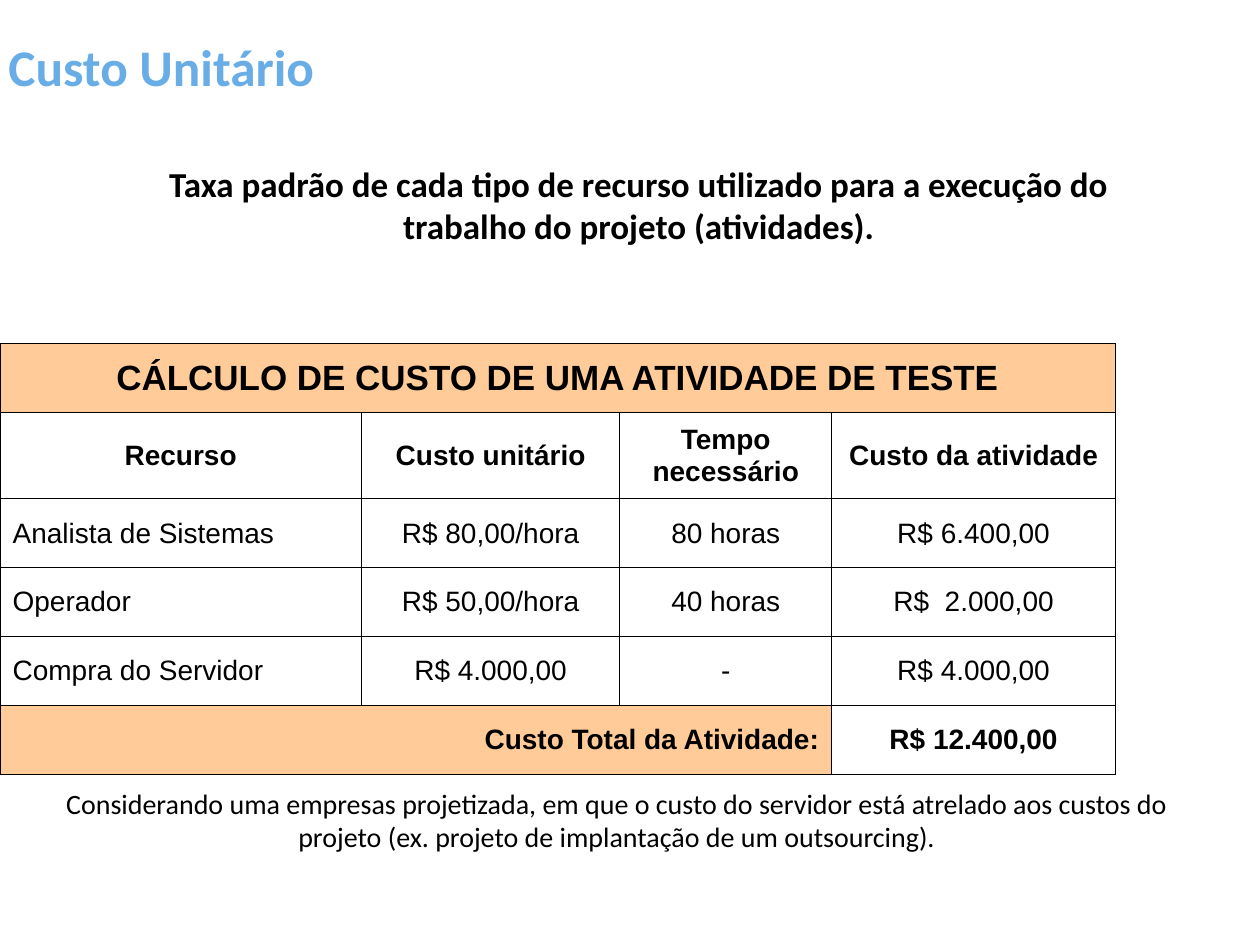
from lxml import etree
from pptx import Presentation
from pptx.dml.color import RGBColor
from pptx.enum import text as t
from pptx.oxml import ns
from pptx.util import Inches, Pt

BLACK = RGBColor(0, 0, 0)
BLUE = RGBColor(0x69, 0xAD, 0xE7)
PEACH = RGBColor(0xFF, 0xCC, 0x99)
LEFT, MID, RIGHT, JUST = (t.PP_ALIGN.LEFT, t.PP_ALIGN.CENTER,
                          t.PP_ALIGN.RIGHT, t.PP_ALIGN.JUSTIFY)

TITLE = "Custo Unitário"
INTRO = ("Taxa padrão de cada tipo de recurso utilizado para a execução do "
         "trabalho do projeto (atividades).")
NOTE = ("Considerando uma empresas projetizada, em que o custo do servidor "
        "está atrelado aos custos do projeto (ex. projeto de implantação de "
        "um outsourcing).")
ROWS = [
    ("CÁLCULO DE CUSTO DE UMA ATIVIDADE DE TESTE", "", "", ""),
    ("Recurso", "Custo unitário", "Tempo necessário", "Custo da atividade"),
    ("Analista de Sistemas", "R$ 80,00/hora", "80 horas", "R$ 6.400,00"),
    ("Operador", "R$ 50,00/hora", "40 horas", "R$  2.000,00"),
    ("Compra do Servidor", "R$ 4.000,00", "-", "R$ 4.000,00"),
    ("Custo Total da Atividade:", "", "", "R$ 12.400,00"),
]
WIDTHS = [4.3, 3.08, 2.52, 3.38]
HEIGHTS = [0.82, 1.03, 0.82, 0.82, 0.82, 0.82]
LAST = len(ROWS) - 1


def write(frame, words, size, align, font="Calibri", bold=False, color=BLACK):
    frame.word_wrap = True
    para = frame.paragraphs[0]
    para.text = words
    para.alignment = align
    para.font.name, para.font.size = font, Pt(size)
    para.font.bold = bold
    para.font.color.rgb = color
    return para


def add_box(slide, *place):
    return slide.shapes.add_textbox(*map(Inches, place)).text_frame


def rule(cell):
    """Draw a thin black line on all four sides of a cell."""
    props = cell._tc.get_or_add_tcPr()
    for side in ("lnL", "lnR", "lnT", "lnB"):
        line = etree.SubElement(props, ns.qn("a:" + side), w=str(Pt(1)))
        fill = etree.SubElement(line, ns.qn("a:solidFill"))
        etree.SubElement(fill, ns.qn("a:srgbClr"), val=str(BLACK))


def add_costs(slide):
    place = map(Inches, (0, 4.09, sum(WIDTHS), sum(HEIGHTS)))
    table = slide.shapes.add_table(len(ROWS), len(WIDTHS), *place).table
    table.first_row = table.horz_banding = False
    for col, width in zip(table.columns, WIDTHS):
        col.width = Inches(width)
    for row, height in zip(table.rows, HEIGHTS):
        row.height = Inches(height)
    table.cell(0, 0).merge(table.cell(0, 3))
    table.cell(LAST, 0).merge(table.cell(LAST, 2))

    for r, row in enumerate(ROWS):
        body = 1 < r < LAST
        for c, words in enumerate(row):
            cell = table.cell(r, c)
            rule(cell)
            if r == 0 or (r == LAST and c < 3):
                cell.fill.solid()
                cell.fill.fore_color.rgb = PEACH
            else:
                cell.fill.background()
            if cell.is_spanned:
                continue
            cell.vertical_anchor = t.MSO_ANCHOR.MIDDLE
            cell.margin_left = cell.margin_right = Inches(0.15)
            cell.margin_top = cell.margin_bottom = Inches(0.08)
            align = MID
            if c == 0 and r > 1:
                align = JUST if body else RIGHT
            write(cell.text_frame, words, 24 if r else 30, align,
                  "Arial", not body)


def main():
    deck = Presentation()
    deck.slide_width, deck.slide_height = Inches(15), Inches(11.25)
    slide = deck.slides.add_slide(deck.slide_layouts[5])

    title = slide.shapes.title
    title.left, title.top = Inches(0), Inches(0.42)
    title.width, title.height = Inches(7.12), Inches(0.72)
    title.text_frame.auto_size = t.MSO_AUTO_SIZE.NONE
    title.text_frame.vertical_anchor = t.MSO_ANCHOR.MIDDLE
    write(title.text_frame, TITLE, 44, LEFT, bold=True, color=BLUE)

    intro = add_box(slide, 0.18, 1.26, 13.85, 3.66)
    intro.margin_left, intro.margin_right = Inches(1.15), Inches(0.15)
    intro.margin_top = Inches(0.67)
    write(intro, INTRO, 30, MID, bold=True)

    add_costs(slide)
    write(add_box(slide, 0.65, 9.31, 13.38, 0.91), NOTE, 24, MID)
    deck.save("out.pptx")


if __name__ == "__main__":
    main()
